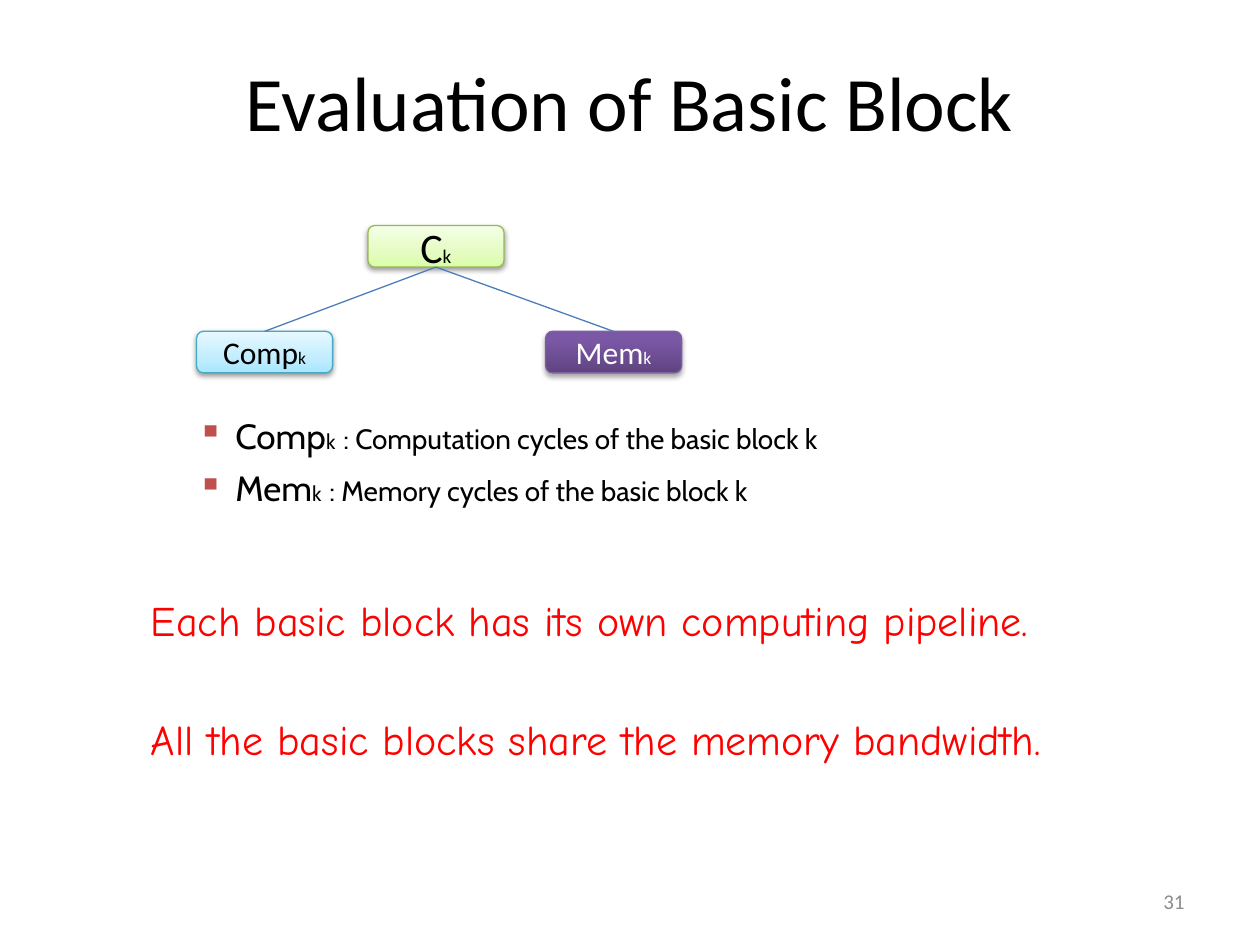
from lxml import etree
from pptx import Presentation
from pptx.dml.color import RGBColor
from pptx.enum import shapes as sh, text as tx
from pptx.oxml import parse_xml
from pptx.oxml.ns import nsdecls, qn
from pptx.util import Inches, Pt

BLACK, WHITE, RED, GREY = "000000", "FFFFFF", "FF0000", "8C8C8C"
LEFT, MID, RIGHT = tx.PP_ALIGN.LEFT, tx.PP_ALIGN.CENTER, tx.PP_ALIGN.RIGHT
NODE_W, NODE_H = 1.08, 0.33

# left, top, runs (text, size), text colour, gradient stops, line colour, shadow
NODES = [
    (2.92, 1.79, [("C", 24), ("k", 11)], BLACK,
     [(0, "DAFDA7"), (35, "E4FCC2"), (100, "F5FFE7")], "98B955", (38, 1.6)),
    (1.56, 2.63, [("Comp", 18), ("k", 10)], BLACK,
     [(0, "A7E6FF"), (35, "C1EDFF"), (100, "E7F8FF")], "46AAC5", (38, 1.6)),
    (4.33, 2.63, [("Mem", 18), ("k", 10)], WHITE,
     [(0, "5F4480"), (80, "7B58A6"), (100, "7C57A8")], "7D60A0", (35, 1.8)),
]
TERMS = [("Comp", ": Computation cycles of the basic block k"),
         ("Mem", ": Memory cycles of the basic block k")]
NOTES = ["Each basic block has its own computing pipeline.",
         "All the basic blocks share the memory bandwidth."]

deck = Presentation()
deck.slide_width, deck.slide_height = Inches(10), Inches(7.5)
slide = deck.slides.add_slide(deck.slide_layouts[6])


def rgb(code):
    return RGBColor.from_string(code)


def write(frame, paras, font, color, align=LEFT, gap=0, middle=False):
    """Fill a frame with paragraphs, each a list of (text, size) runs."""
    frame.word_wrap = True
    frame.vertical_anchor = tx.MSO_ANCHOR.MIDDLE if middle else tx.MSO_ANCHOR.TOP
    for i, runs in enumerate(paras):
        para = frame.add_paragraph() if i else frame.paragraphs[0]
        para.alignment = align
        para.space_before = Pt(gap if i else 0)
        for words, size in runs:
            run = para.add_run()
            run.text = words
            run.font.size, run.font.name = Pt(size), font
            run.font.color.rgb = rgb(color)


def label(box, *args, **opts):
    frame = slide.shapes.add_textbox(*map(Inches, box)).text_frame
    write(frame, *args, **opts)
    return frame


def shade(shape, stops, shadow):
    """Give a shape an upward gradient and a soft shadow below it."""
    alpha, dist = shadow
    marks = "".join(f'<a:gs pos="{pos * 1000}"><a:srgbClr val="{code}"/></a:gs>'
                    for pos, code in stops)
    fill = parse_xml(f'<a:gradFill {nsdecls("a")} rotWithShape="1"><a:gsLst>{marks}'
                     '</a:gsLst><a:lin ang="16200000" scaled="0"/></a:gradFill>')
    props = shape.element.spPr
    props.find(qn("a:prstGeom")).addnext(fill)
    shape.shadow.inherit = False
    props.find(qn("a:effectLst")).append(parse_xml(
        f'<a:outerShdw {nsdecls("a")} blurRad="{Pt(3.1)}" dist="{Pt(dist)}" '
        'dir="5400000" rotWithShape="0"><a:srgbClr val="000000">'
        f'<a:alpha val="{alpha * 1000}"/></a:srgbClr></a:outerShdw>'))


def node(left, top, runs, color, stops, edge, shadow):
    shape = slide.shapes.add_shape(sh.MSO_SHAPE.ROUNDED_RECTANGLE,
                                   *map(Inches, (left, top, NODE_W, NODE_H)))
    shade(shape, stops, shadow)
    shape.line.color.rgb, shape.line.width = rgb(edge), Pt(0.75)
    write(shape.text_frame, [runs], "Calibri", color, MID, middle=True)
    return shape


def link(child, root):
    line = slide.shapes.add_connector(sh.MSO_CONNECTOR.STRAIGHT, 0, 0, 0, 0)
    line.begin_connect(child, 0)
    line.end_connect(root, 2)
    line.line.color.rgb, line.line.width = rgb("4B7EBC"), Pt(0.75)
    etree.SubElement(line.element.spPr, qn("a:effectLst"))


def bullet(para):
    props = para._p.get_or_add_pPr()
    props.set("marL", str(Inches(0.3)))
    props.set("indent", str(Inches(-0.3)))
    tint = etree.SubElement(props, qn("a:buClr"))
    etree.SubElement(tint, qn("a:srgbClr"), val="C0504D")
    etree.SubElement(props, qn("a:buChar"), char="▪")


label((0.5, 0.3, 9, 1), [[("Evaluation of Basic Block", 44)]],
      "Calibri", BLACK, MID, middle=True)
label((7.17, 6.95, 2.33, 0.4), [[("31", 12)]], "Calibri", GREY, RIGHT, middle=True)
label((1.1, 4.67, 8.33, 1.47), [[(note, 24)] for note in NOTES],
      "Comic Neue", RED, gap=39)

root, *leaves = [node(*spec) for spec in NODES]
for leaf in leaves:
    link(leaf, root)

terms = label((1.47, 3.24, 5.4, 0.97),
              [[(name, 20), ("k", 12), (" ", 20), (means, 16)]
               for name, means in TERMS], "Cabin", BLACK, gap=6)
for para in terms.paragraphs:
    bullet(para)

deck.save("out.pptx")
